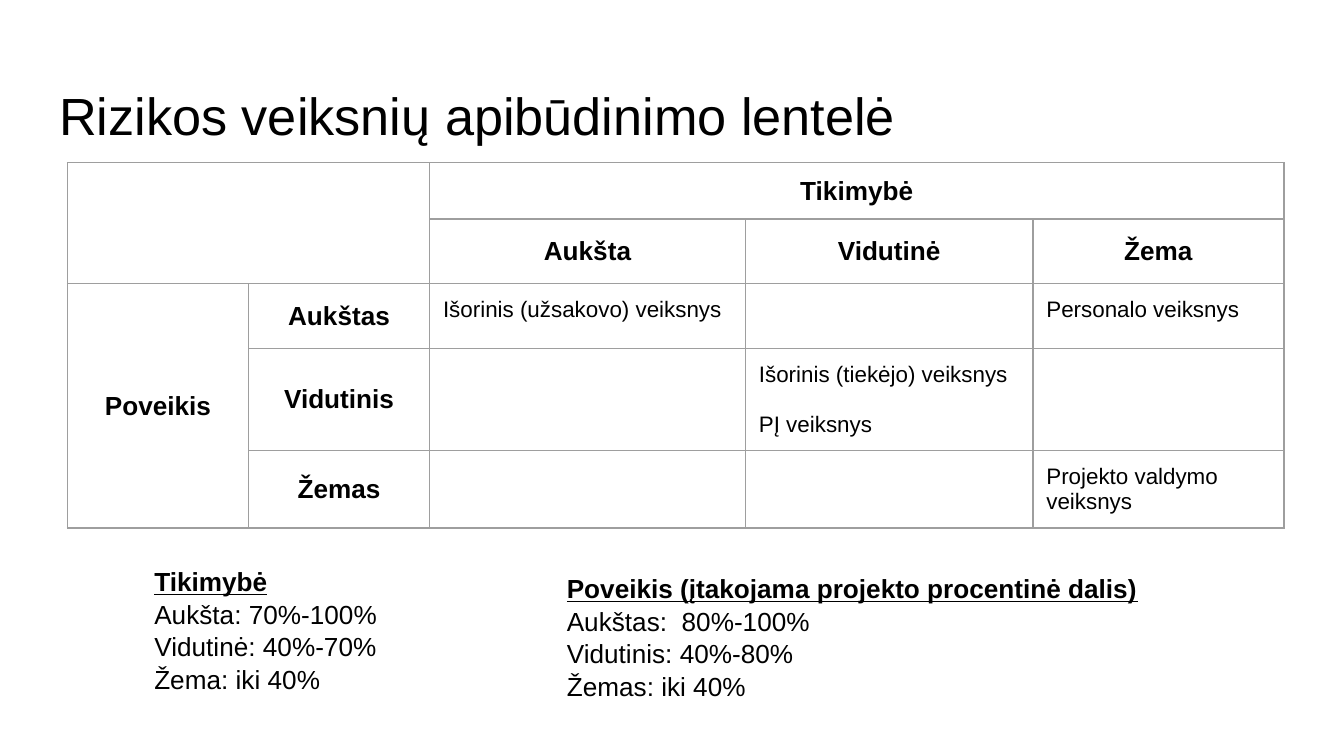
from pptx import Presentation
from pptx.dml.color import RGBColor
from pptx.enum.text import MSO_ANCHOR, PP_ALIGN
from pptx.oxml import parse_xml
from pptx.util import Pt

TOP, MIDDLE = MSO_ANCHOR.TOP, MSO_ANCHOR.MIDDLE
LEFT, CENTER = PP_ALIGN.LEFT, PP_ALIGN.CENTER
FONT, INK, GRID = "Arial", "000000", "9E9E9E"
INSET = 7.2
NS = "http://schemas.openxmlformats.org/drawingml/2006/main"

# Content
TITLE = "Rizikos veiksnių apibūdinimo lentelė"
COLUMN_WIDTHS = [97, 97, 169.25, 154, 134.5]
ROW_HEIGHTS = [30, 34.75, 34.5, 54.5, 41.5]
MERGES = [((0, 0), (1, 1)), ((0, 2), (0, 4)), ((2, 0), (4, 0))]
HEADINGS = {
    (0, 2): "Tikimybė",
    (1, 2): "Aukšta", (1, 3): "Vidutinė", (1, 4): "Žema",
    (2, 0): "Poveikis",
    (2, 1): "Aukštas", (3, 1): "Vidutinis", (4, 1): "Žemas",
}
FACTORS = {
    (2, 2): "Išorinis (užsakovo) veiksnys",
    (2, 4): "Personalo veiksnys",
    (3, 3): "Išorinis (tiekėjo) veiksnys\nPĮ veiksnys",
    (4, 4): "Projekto valdymo veiksnys",
}
LEGENDS = [
    ((75.6, 295.2, 271.4, 97.9),
     ["Tikimybė", "Aukšta: 70%-100%", "Vidutinė: 40%-70%", "Žema: iki 40%"]),
    ((296.6, 298.8, 355, 81.4),
     ["Poveikis (įtakojama projekto procentinė dalis)",
      "Aukštas:  80%-100%", "Vidutinis: 40%-80%", "Žemas: iki 40%"]),
]


def color(value):
    return RGBColor.from_string(value)


def style(paragraph, size, bold=False, underline=False, align=LEFT):
    paragraph.alignment = align
    for run in paragraph.runs:
        font = run.font
        font.name, font.size = FONT, Pt(size)
        font.bold, font.underline = bold, underline
        font.color.rgb = color(INK)


def set_insets(holder):
    holder.margin_left = holder.margin_right = Pt(INSET)
    holder.margin_top = holder.margin_bottom = Pt(INSET)


def add_borders(cell):
    properties = cell._tc.get_or_add_tcPr()
    for position, side in enumerate(("lnL", "lnR", "lnT", "lnB")):
        properties.insert(position, parse_xml(
            f'<a:{side} xmlns:a="{NS}" w="{Pt(0.75)}"><a:solidFill>'
            f'<a:srgbClr val="{GRID}"/></a:solidFill></a:{side}>'))


deck = Presentation()
deck.slide_width, deck.slide_height = Pt(720), Pt(405)
slide = deck.slides.add_slide(deck.slide_layouts[5])

# Title
title = slide.shapes.title
title.left, title.top, title.width, title.height = map(Pt, (24.5, 35.3, 671, 45.4))
title_frame = title.text_frame
title_frame.text = TITLE
set_insets(title_frame)
title_frame.margin_top = Pt(9.5)
title_frame.vertical_anchor = TOP
style(title_frame.paragraphs[0], 28)

# Risk matrix
matrix = slide.shapes.add_table(
    len(ROW_HEIGHTS), len(COLUMN_WIDTHS), Pt(36.2), Pt(87.2),
    Pt(sum(COLUMN_WIDTHS)), Pt(sum(ROW_HEIGHTS))).table
matrix.first_row = matrix.horz_banding = False
for column, width in zip(matrix.columns, COLUMN_WIDTHS):
    column.width = Pt(width)
for row, height in zip(matrix.rows, ROW_HEIGHTS):
    row.height = Pt(height)
for start, end in MERGES:
    matrix.cell(*start).merge(matrix.cell(*end))

for r in range(len(ROW_HEIGHTS)):
    for c in range(len(COLUMN_WIDTHS)):
        cell = matrix.cell(r, c)
        heading = (r, c) in HEADINGS
        cell.text_frame.text = HEADINGS.get((r, c)) or FACTORS.get((r, c), "")
        cell.vertical_anchor = MIDDLE if heading else TOP
        set_insets(cell)
        cell.fill.background()
        add_borders(cell)
        paragraphs = cell.text_frame.paragraphs
        for paragraph in paragraphs:
            style(paragraph, 14 if heading else 12, bold=heading,
                  align=CENTER if heading else LEFT)
            if not paragraph.runs:
                paragraph.font.size = Pt(12)
        for paragraph in paragraphs[:-1]:
            paragraph.space_after = Pt(13.5)

# Scale legends
for box, lines in LEGENDS:
    legend = slide.shapes.add_textbox(*map(Pt, box)).text_frame
    legend.word_wrap = True
    set_insets(legend)
    legend.text = "\n".join(lines)
    for index, paragraph in enumerate(legend.paragraphs):
        paragraph.line_spacing = 1.04
        style(paragraph, 14, bold=index == 0, underline=index == 0)

deck.save("out.pptx")
